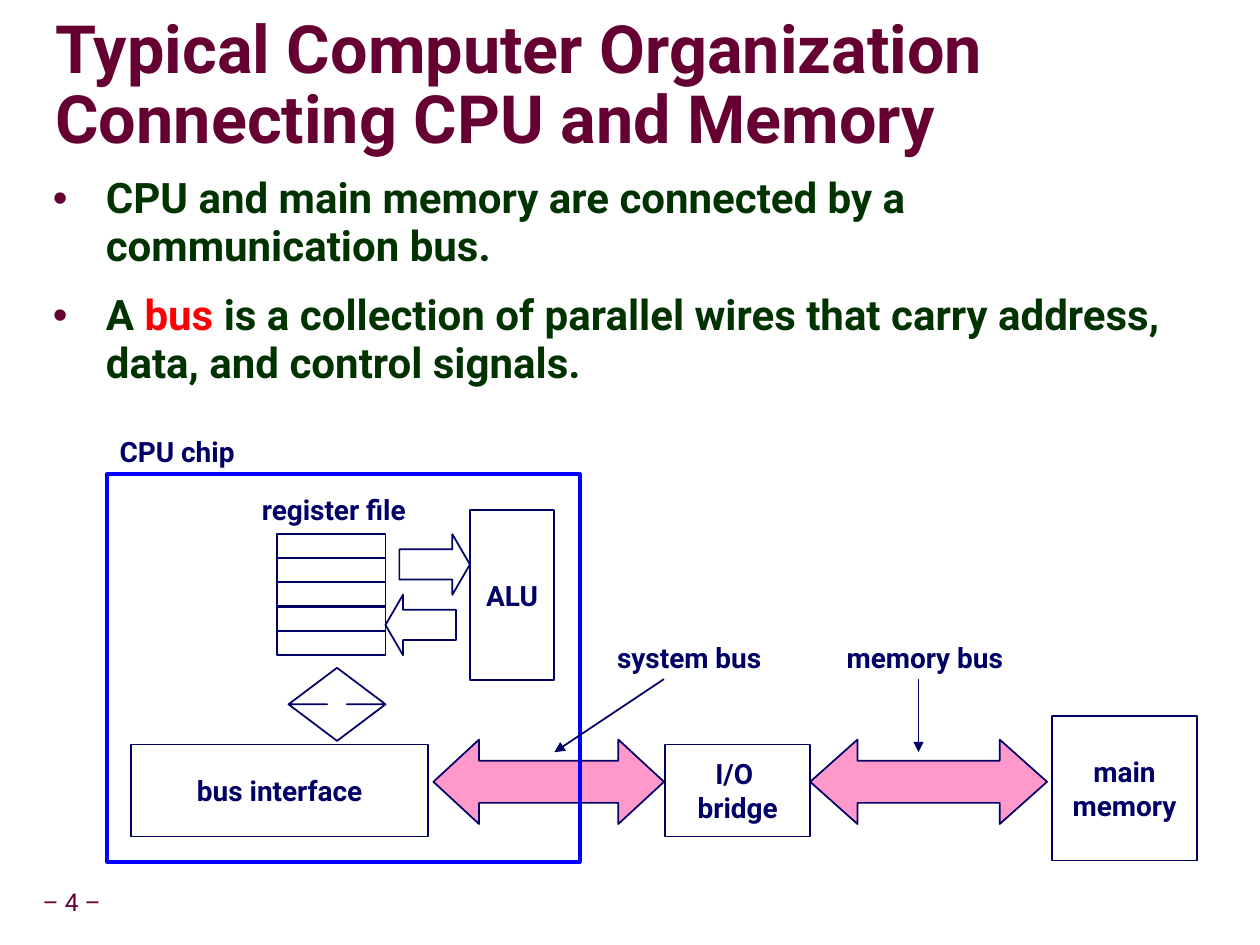
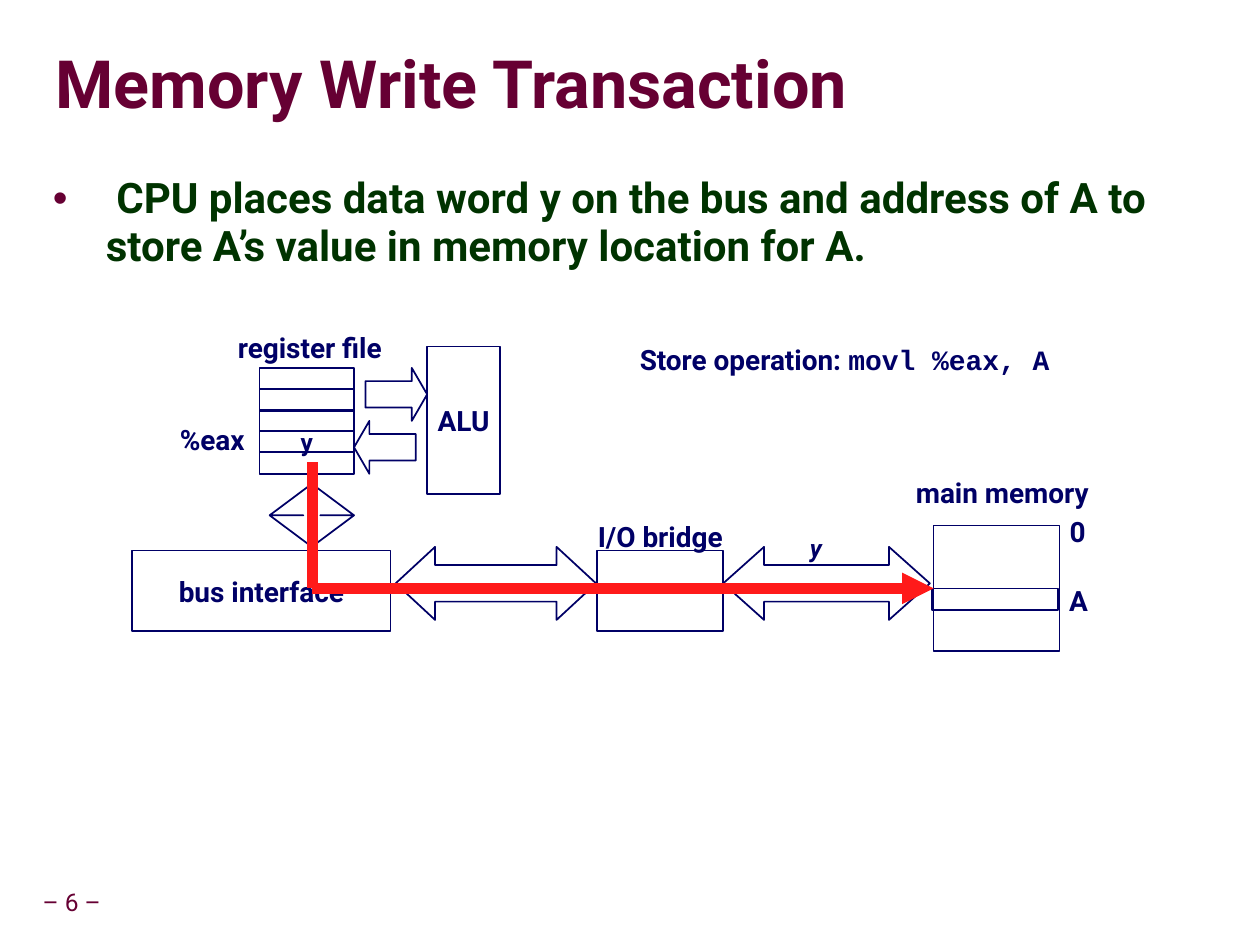
import pptx
import pptx.util
import pptx.dml.color
import pptx.enum.shapes
import pptx.enum.text
import pptx.oxml
import pptx.oxml.ns

RGB = pptx.dml.color.RGBColor
NAVY = RGB(0x00, 0x00, 0x66)
BLUE = RGB(0x00, 0x00, 0xFF)
WINE = RGB(0x66, 0x00, 0x33)
GREEN = RGB(0x00, 0x33, 0x00)
RED = RGB(0xFF, 0x00, 0x00)
BRIGHT = RGB(0xFF, 0x1A, 0x1A)
PINK = RGB(0xFF, 0x99, 0xCC)
WHITE = RGB(0xFF, 0xFF, 0xFF)

PX = 9144
NS = pptx.oxml.ns.nsdecls("a")
KIND = pptx.enum.shapes.MSO_SHAPE
ALIGN = pptx.enum.text.PP_ALIGN
MID = pptx.enum.text.MSO_ANCHOR.MIDDLE
SHADE = (f'<a:effectLst {NS}><a:outerShdw blurRad="50800" dist="63500" dir="2700000">'
         '<a:srgbClr val="000000"><a:alpha val="40000"/></a:srgbClr>'
         '</a:outerShdw></a:effectLst>')


def write(par, text, size=16, hue=NAVY, bold=True, face="Roboto"):
    run = par.add_run()
    run.text = text
    run.font.size = pptx.util.Pt(size)
    run.font.name = face
    run.font.bold = bold
    run.font.color.rgb = hue
    return run


def draw(page, kind, spot, lines=(), fill=None, bend=(), size=16, hue=NAVY, weight=1, bold=True):
    place = [round(n) * PX for n in spot]
    if kind is None:
        shape = page.shapes.add_textbox(*place)
    else:
        shape = page.shapes.add_shape(kind, *place)
        shape.shadow.inherit = False
        shape.line.color.rgb = hue
        shape.line.width = pptx.util.Pt(weight)
        if fill is None:
            shape.fill.background()
        else:
            shape.fill.solid()
            shape.fill.fore_color.rgb = fill
        for i, part in enumerate(bend):
            shape.adjustments[i] = part
    frame = shape.text_frame
    frame.word_wrap = False
    frame.vertical_anchor = MID
    for i, line in enumerate(lines):
        par = frame.add_paragraph() if i else frame.paragraphs[0]
        par.alignment = ALIGN.CENTER
        write(par, line, size, NAVY if kind else hue, bold)
    return shape


deck = pptx.Presentation()
deck.slide_width = 1000 * PX
deck.slide_height = 750 * PX

TALKS = [
    ("Typical Computer Organization Connecting CPU and Memory", "– 4 –", [
        [("CPU and main memory are connected by a communication bus.", GREEN)],
        [("A ", GREEN), ("bus", RED),
         (" is a collection of parallel wires that carry address, data, and control signals.", GREEN)]]),
    ("Memory Write Transaction", "– 6 –", [
        [(" CPU places data word y on the bus and address of A to store A’s value "
          "in memory location for A.", GREEN)]]),
]

pages = []
for head, foot, points in TALKS:
    page = deck.slides.add_slide(deck.slide_layouts[1])
    pages.append(page)
    draw(page, None, (24, 700, 66, 31), [foot], size=14, hue=WINE, bold=False)

    title, body = page.shapes.title, page.placeholders[1]
    for hold, spot in ((title, (44, 27, 953, 85)), (body, (32, 134, 909, 571))):
        hold.left, hold.top, hold.width, hold.height = [n * PX for n in spot]
        hold.text_frame.auto_size = pptx.enum.text.MSO_AUTO_SIZE.NONE
        hold.text_frame.word_wrap = True

    frame = title.text_frame
    frame.vertical_anchor = MID
    frame.margin_left = frame.margin_right = frame.margin_top = frame.margin_bottom = 0
    par = frame.paragraphs[0]
    par.alignment = ALIGN.LEFT
    par.line_spacing = 0.87
    run = write(par, head, 38, WINE)
    run.font.fill._xPr.find(pptx.oxml.ns.qn("a:solidFill")).addnext(pptx.oxml.parse_xml(SHADE))

    for i, point in enumerate(points):
        frame = body.text_frame
        par = frame.add_paragraph() if i else frame.paragraphs[0]
        par.line_spacing = 0.95
        par.space_before = pptx.util.Pt(12)
        props = par._p.get_or_add_pPr()
        props.set("marL", str(42 * PX))
        props.set("indent", str(-42 * PX))
        props.append(pptx.oxml.parse_xml(f'<a:buClr {NS}><a:srgbClr val="{WINE}"/></a:buClr>'))
        props.append(pptx.oxml.parse_xml(f'<a:buChar {NS} char="•"/>'))
        for text, hue in point:
            write(par, text, 24, hue)

first, last = pages

PARTS = [
    ("memory", KIND.RECTANGLE, (615, 144, 115, 115), ()),
    ("bus", KIND.LEFT_RIGHT_ARROW, (423, 163, 188, 67), (0.5, 0.56)),
    ("bridge", KIND.RECTANGLE, (308, 167, 115, 73), ()),
    ("bus", KIND.LEFT_RIGHT_ARROW, (124, 163, 183, 67), (0.5, 0.54)),
    ("port", KIND.RECTANGLE, (-116, 167, 236, 73), ()),
    ("load", KIND.RIGHT_ARROW, (97, 0, 56, 48), (0.5, 0.29)),
    ("store", KIND.LEFT_ARROW, (86, 48, 56, 48), (0.5, 0.29)),
    ("alu", KIND.RECTANGLE, (153, -19, 67, 135), ()),
    ("link", KIND.UP_DOWN_ARROW, (9, 106, 77, 58), (0.5, 0.2)),
]
PARTS += [(f"row{i}", KIND.RECTANGLE, (0, 96 * i / 5, 86, 96 / 5), ()) for i in range(5)]

both = {"port": ["bus interface"], "alu": ["ALU"]}
VIEWS = [
    (first, 220, 424, 1, {"bus": PINK},
     both | {"memory": ["main", "memory"], "bridge": ["I/O ", "bridge"]}),
    (last, 206, 292, 0.87, {"port": WHITE}, both | {"row3": ["y"]}),
]
for page, left, top, scale, fills, words in VIEWS:
    for name, kind, (x, y, wide, high), bend in PARTS:
        spot = (left + x * scale, top + y * scale, wide * scale, high * scale)
        shape = draw(page, kind, spot, words.get(name, ()), fills.get(name), bend,
                     14 if name == "row3" else 16)
        if name == "memory":
            store = shape

draw(first, KIND.RECTANGLE, (85, 376, 375, 308), hue=BLUE, weight=2.25)
draw(last, KIND.RECTANGLE, (740, 467, 100, 17))

LABELS = [
    (first, "register file", (195, 386, 140, 37)),
    (first, "CPU chip", (81, 340, 119, 37)),
    (first, "system bus", (476, 503, 142, 37)),
    (first, "memory bus", (658, 503, 152, 37)),
    (last, "register file", (176, 257, 140, 37)),
    (last, "main memory", (713, 372, 165, 37)),
    (last, "0", (839, 403, 32, 37)),
    (last, "A", (838, 458, 36, 37)),
    (last, "%eax", (130, 330, 77, 37)),
    (last, "I/O bridge", (462, 407, 124, 37)),
]
for page, text, spot in LABELS:
    draw(page, None, spot, [text])

datum = draw(last, None, (632, 418, 31, 33), ["y"], size=14)
datum.text_frame.paragraphs[0].runs[0].font.italic = True

note = draw(last, None, (498, 267, 357, 64)).text_frame
note.word_wrap = True
note.vertical_anchor = pptx.enum.text.MSO_ANCHOR.TOP
write(note.paragraphs[0], "Store operation: ")
write(note.paragraphs[0], "movl %eax, A", face="Courier New")

WIRES = [
    (first, (527, 539, 440, 597), NAVY, 1, True, None),
    (first, (729, 539, 729, 597), NAVY, 1, True, None),
    (last, (248, 367, 248, 467), BRIGHT, 6, False, None),
    (last, (248, 467, 740, 467), BRIGHT, 6, True, store),
]
for page, ends, hue, weight, tip, goal in WIRES:
    wire = page.shapes.add_connector(pptx.enum.shapes.MSO_CONNECTOR.STRAIGHT,
                                     *[n * PX for n in ends])
    wire.line.color.rgb = hue
    wire.line.width = pptx.util.Pt(weight)
    if tip:
        wire.line._get_or_add_ln().append(pptx.oxml.parse_xml(f'<a:tailEnd {NS} type="triangle"/>'))
    wire._element.spPr.append(pptx.oxml.parse_xml(f"<a:effectLst {NS}/>"))
    if goal is not None:
        wire.end_connect(goal, 1)

deck.save("out.pptx")
